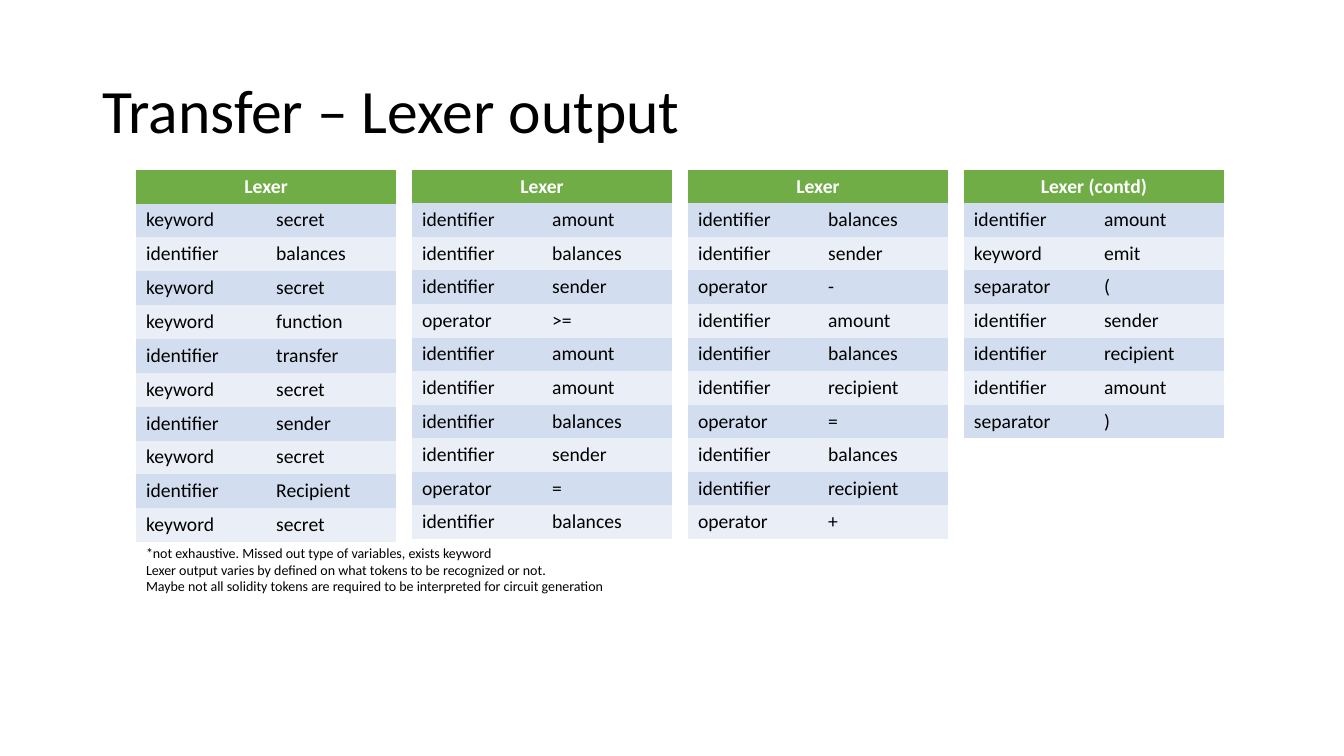
"""Build the slide that lists the lexer output of the transfer function."""
from dataclasses import dataclass

from pptx import Presentation
from pptx.dml.color import RGBColor as Color
from pptx.enum.text import MSO_ANCHOR as Anchor, PP_ALIGN as Align
from pptx.slide import Slide
from pptx.text.text import TextFrame
from pptx.util import Pt


@dataclass(frozen=True)
class Theme:
    font: str = "Calibri"
    text: Color = Color(0x00, 0x00, 0x00)
    header_text: Color = Color(0xFF, 0xFF, 0xFF)
    header_fill: Color = Color(0x70, 0xAD, 0x47)
    bands: tuple[Color, Color] = (Color(0xD2, 0xDE, 0xEF), Color(0xEA, 0xEF, 0xF7))
    title_size: float = 44
    table_size: float = 14
    note_size: float = 10


@dataclass(frozen=True)
class TokenTable:
    header: str
    row_height: float
    tokens: tuple[tuple[str, str], ...]


THEME = Theme()
PLAIN_TABLE_STYLE = "{2D5ABB26-0587-4C30-8999-92F81FD0307C}"
TABLE_LEFT, TABLE_TOP, TABLE_PITCH = 97.2, 121.2, 197.1
COLUMN_WIDTH, CELL_MARGIN = 92.9, 3.4

TOKEN_TABLES = (
    TokenTable("Lexer", 24.2, (
        ("keyword", "secret"), ("identifier", "balances"),
        ("keyword", "secret"), ("keyword", "function"),
        ("identifier", "transfer"), ("keyword", "secret"),
        ("identifier", "sender"), ("keyword", "secret"),
        ("identifier", "Recipient"), ("keyword", "secret"),
    )),
    TokenTable("Lexer", 24, (
        ("identifier", "amount"), ("identifier", "balances"),
        ("identifier", "sender"), ("operator", ">="),
        ("identifier", "amount"), ("identifier", "amount"),
        ("identifier", "balances"), ("identifier", "sender"),
        ("operator", "="), ("identifier", "balances"),
    )),
    TokenTable("Lexer", 24, (
        ("identifier", "balances"), ("identifier", "sender"),
        ("operator", "-"), ("identifier", "amount"),
        ("identifier", "balances"), ("identifier", "recipient"),
        ("operator", "="), ("identifier", "balances"),
        ("identifier", "recipient"), ("operator", "+"),
    )),
    TokenTable("Lexer (contd)", 24, (
        ("identifier", "amount"), ("keyword", "emit"),
        ("separator", "("), ("identifier", "sender"),
        ("identifier", "recipient"), ("identifier", "amount"),
        ("separator", ")"),
    )),
)

NOTES = (
    "*not exhaustive. Missed out type of variables, exists keyword",
    "Lexer output varies by defined on what tokens to be recognized or not.",
    "Maybe not all solidity tokens are required to be interpreted for circuit generation",
)


def write(frame: TextFrame, text: str, size: float,
          color: Color = THEME.text, bold: bool = False) -> None:
    """Fill a text frame and format every run in it."""
    frame.text = text
    for para in frame.paragraphs:
        for span in para.runs:
            span.font.name = THEME.font
            span.font.size = Pt(size)
            span.font.color.rgb = color
            span.font.bold = bold


def add_text(page: Slide, left: float, top: float, width: float, height: float,
             text: str, size: float) -> TextFrame:
    """Add a text box and return its frame."""
    box = page.shapes.add_textbox(Pt(left), Pt(top), Pt(width), Pt(height))
    write(box.text_frame, text, size)
    return box.text_frame


def add_token_table(page: Slide, left: float, content: TokenTable) -> None:
    """Add a two-column token table with a merged header and banded rows."""
    rows = ((content.header, ""), *content.tokens)
    frame = page.shapes.add_table(len(rows), 2, Pt(left), Pt(TABLE_TOP),
                                  Pt(2 * COLUMN_WIDTH), Pt(content.row_height * len(rows)))
    table = frame.table
    table._tbl.tblPr[0].text = PLAIN_TABLE_STYLE
    table.horz_banding = False
    for column in table.columns:
        column.width = Pt(COLUMN_WIDTH)
    for index, values in enumerate(rows):
        table.rows[index].height = Pt(content.row_height)
        header = index == 0
        for cell, value in zip(table.rows[index].cells, values):
            cell.margin_top = cell.margin_bottom = Pt(CELL_MARGIN)
            cell.fill.solid()
            cell.fill.fore_color.rgb = THEME.header_fill if header else THEME.bands[(index - 1) % 2]
            write(cell.text_frame, value, THEME.table_size,
                  THEME.header_text if header else THEME.text, header)
    table.cell(0, 0).merge(table.cell(0, 1))
    table.cell(0, 0).text_frame.paragraphs[0].alignment = Align.CENTER


def main() -> None:
    """Build and save the deck."""
    deck = Presentation()
    deck.slide_width, deck.slide_height = Pt(960), Pt(540)
    page = deck.slides.add_slide(deck.slide_layouts[6])
    title = add_text(page, 66, 28.8, 828, 104.4, "Transfer – Lexer output", THEME.title_size)
    title.word_wrap = True
    title.vertical_anchor = Anchor.MIDDLE
    title.paragraphs[0].line_spacing = 0.9
    for index, content in enumerate(TOKEN_TABLES):
        add_token_table(page, TABLE_LEFT + index * TABLE_PITCH, content)
    notes = add_text(page, TABLE_LEFT, 385.2, 347, 43.9, "\n".join(NOTES), THEME.note_size)
    notes.word_wrap = False
    deck.save("out.pptx")


main()
